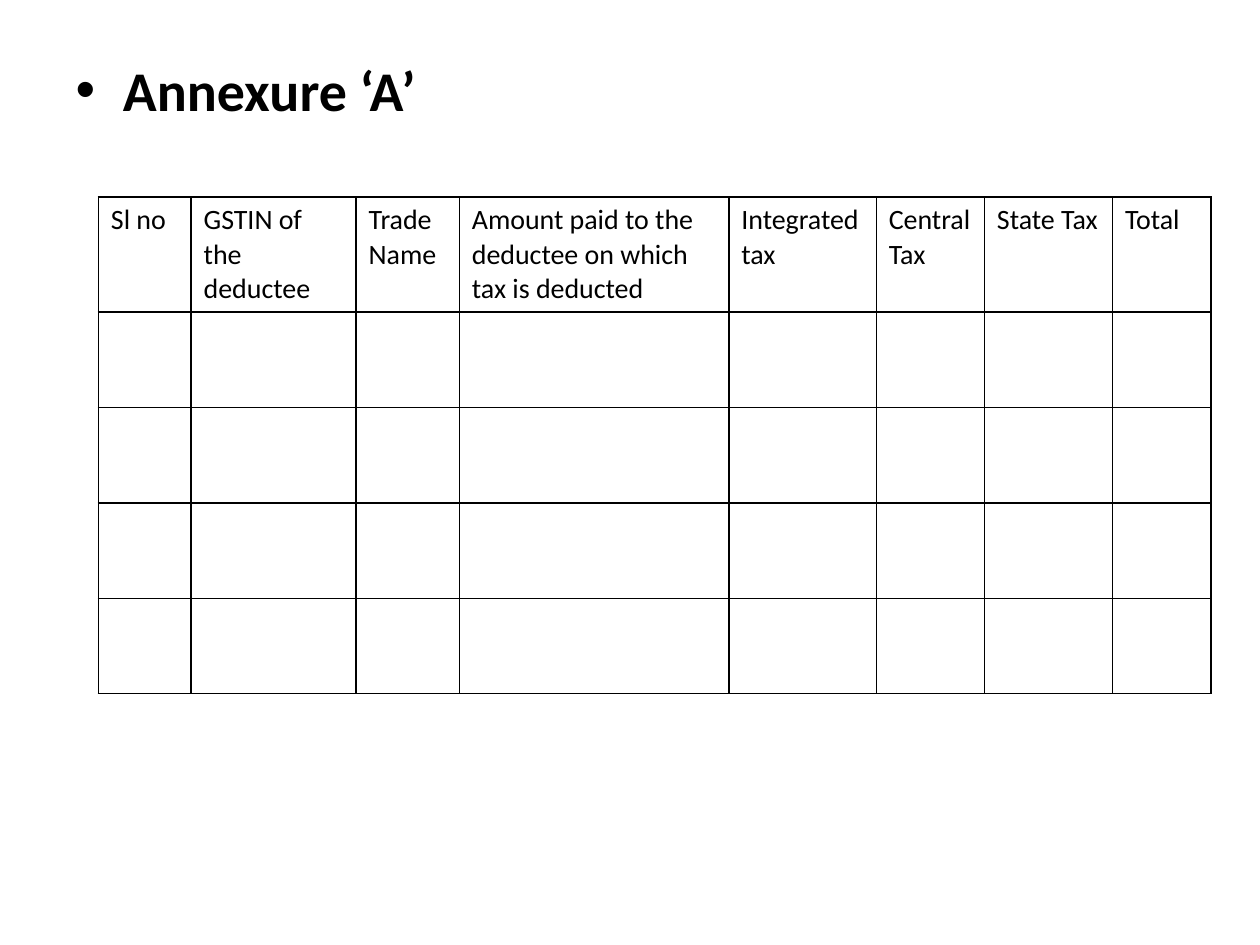
from pptx import Presentation
from pptx.dml.color import RGBColor as RGB
from pptx.enum.text import MSO_ANCHOR as Anchor
from pptx.oxml.ns import qn
from pptx.util import Pt
from lxml.etree import SubElement as Sub

BLACK = RGB(0, 0, 0)
WHITE = RGB(255, 255, 255)

HEADS = [
    ("Sl no", 53), ("GSTIN of the deductee", 94.3), ("Trade Name", 59),
    ("Amount paid to the deductee on which tax is deducted", 154),
    ("Integrated tax", 84.3), ("Central Tax", 61.8),
    ("State Tax", 73.2), ("Total", 56.2),
]
ROWS = [65.6] + [54.5] * 4


def style(para, size, bold):
    form = {"name": "Calibri", "size": Pt(size), "bold": bold}
    for key, val in form.items():
        setattr(para.font, key, val)
    para.font.color.rgb = BLACK


def frame(cell):
    props = cell._tc.get_or_add_tcPr()
    for side in ("lnL", "lnR", "lnT", "lnB"):
        line = Sub(props, qn(f"a:{side}"), w=str(Pt(1)))
        fill = Sub(line, qn("a:solidFill"))
        Sub(fill, qn("a:srgbClr"), val=str(BLACK))


deck = Presentation()
deck.slide_width, deck.slide_height = Pt(720), Pt(540)
slide = deck.slides.add_slide(deck.slide_layouts[1])
title = slide.shapes.title.element
title.getparent().remove(title)

body = slide.placeholders[1]
place = {"left": 36, "top": 28, "width": 648, "height": 454}
for key, val in place.items():
    setattr(body, key, Pt(val))
body.text_frame.vertical_anchor = Anchor.TOP
head = body.text_frame.paragraphs[0]
head.text = "Annexure ‘A’"
head.space_before = Pt(0)
props = head._p.get_or_add_pPr()
props.set("marL", str(Pt(27)))
props.set("indent", str(Pt(-27)))
Sub(props, qn("a:buFont"), typeface="Arial")
Sub(props, qn("a:buChar"), char="•")
style(head, 32, True)

wide = sum(width for _, width in HEADS)
grid = slide.shapes.add_table(
    len(ROWS), len(HEADS), Pt(56.2), Pt(112.5), Pt(wide), Pt(sum(ROWS))
).table
grid.first_row = grid.horz_banding = False
for row, high in zip(grid.rows, ROWS):
    row.height = Pt(high)
for col, (text, width) in enumerate(HEADS):
    grid.columns[col].width = Pt(width)
    grid.cell(0, col).text = text
for cell in grid.iter_cells():
    frame(cell)
    cell.fill.solid()
    cell.fill.fore_color.rgb = WHITE
    style(cell.text_frame.paragraphs[0], 16, False)

deck.save("out.pptx")
